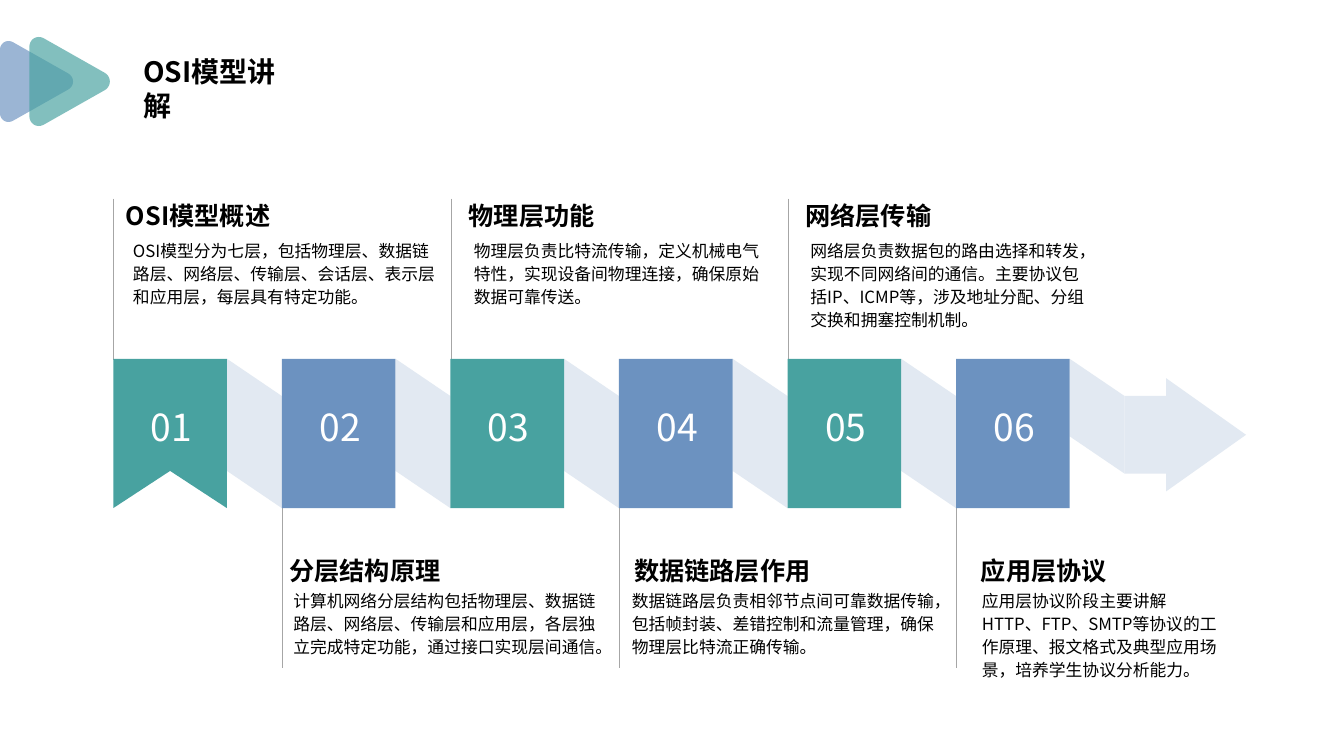
"""Build the OSI model slide: a six-step folded ribbon with a topic for each step."""
from dataclasses import dataclass

from lxml import etree
from pptx import Presentation
from pptx.dml.color import RGBColor
from pptx.enum.shapes import MSO_CONNECTOR, MSO_SHAPE
from pptx.enum.text import MSO_ANCHOR, MSO_AUTO_SIZE, PP_ALIGN
from pptx.oxml.ns import qn
from pptx.util import Pt

STRAIGHT, RECTANGLE = MSO_CONNECTOR.STRAIGHT, MSO_SHAPE.RECTANGLE
TOP, MIDDLE, FIXED = MSO_ANCHOR.TOP, MSO_ANCHOR.MIDDLE, MSO_AUTO_SIZE.NONE
LEFT, CENTER, JUSTIFY = PP_ALIGN.LEFT, PP_ALIGN.CENTER, PP_ALIGN.JUSTIFY


@dataclass(frozen=True)
class Theme:
    font: str = "Noto Sans CJK SC"
    teal: str = "48A2A0"
    blue: str = "6C92C0"
    ribbon: str = "E2E9F2"
    rule: str = "A6A6A6"
    ink: str = "000000"
    white: str = "FFFFFF"
    title: float = 20
    heading: float = 18
    body: float = 12
    number: float = 26.6


theme = Theme()
presentation = Presentation()
presentation.slide_width, presentation.slide_height = Pt(960), Pt(540)
slide = presentation.slides.add_slide(presentation.slide_layouts[5])
shapes = slide.shapes


def write(frame, text, size, color, align, bold=False, spacing=1.0):
    """Fill a text frame with one styled paragraph."""
    frame.word_wrap = True
    frame.auto_size = FIXED
    paragraph = frame.paragraphs[0]
    paragraph.text = text
    paragraph.alignment = align
    paragraph.line_spacing = spacing
    paragraph.font.size = Pt(size)
    paragraph.font.bold = bold
    paragraph.font.color.rgb = RGBColor.from_string(color)
    paragraph.font.name = theme.font
    defaults = paragraph._p.pPr.find(qn("a:defRPr"))
    etree.SubElement(defaults, qn("a:ea"), typeface=theme.font)


def outline(points, color):
    """Draw a closed, filled polygon through points."""
    corners = [(Pt(x), Pt(y)) for x, y in points]
    builder = shapes.build_freeform(*corners[0])
    builder.add_line_segments(corners[1:], close=True)
    polygon = builder.convert_to_shape()
    polygon.shadow.inherit = False
    polygon.fill.solid()
    polygon.fill.fore_color.rgb = RGBColor.from_string(color)
    polygon.line.fill.background()
    return polygon


title = shapes.title
title.left, title.top, title.width, title.height = Pt(95), Pt(35.3), Pt(122.4), Pt(31.7)
title.text_frame.vertical_anchor = TOP
write(title.text_frame, "OSI模型讲解", theme.title, theme.ink, LEFT, bold=True)

triangle_corners = [
    [(9.4, -28), (4.9, -30.5), (0, -27.5), (0, -22.4)],
    [(0, 22.4), (0, 27.5), (4.9, 30.5), (9.4, 28)],
    [(49, 5.6), (53.3, 2.9), (53.3, -2.9), (49, -5.6)],
]
curve_steps = 12
rounded_triangle = []
for corner in triangle_corners:
    for step in range(curve_steps + 1):
        t = step / curve_steps
        weights = ((1 - t) ** 3, 3 * t * (1 - t) ** 2, 3 * t * t * (1 - t), t ** 3)
        rounded_triangle.append([sum(w * p[axis] for w, p in zip(weights, corner))
                                 for axis in (0, 1)])

for offset, scale, color in ((0, 1, theme.blue), (21, 1.1, theme.teal)):
    marker = outline([(offset + scale * x, 58.2 + scale * y) for x, y in rounded_triangle], color)
    fill_color = marker._element.spPr.find(qn("a:solidFill"))[0]
    etree.SubElement(fill_color, qn("a:alpha"), val="68000")

first_left, pitch, tile_width = 80.9, 120.4, 81.2
band_top, band_bottom, fold = 256.3, 363, 26.6
rule_length = 115.5

topics = [
    ("OSI模型概述", 80.6, 95, 217.4,
     "OSI模型分为七层，包括物理层、数据链路层、网络层、传输层、会话层、表示层和应用层，每层具有特定功能。"),
    ("分层结构原理", 197.3, 209.5, 223.2,
     "计算机网络分层结构包括物理层、数据链路层、网络层、传输层和应用层，各层独立完成特定功能，通过接口实现层间通信。"),
    ("物理层功能", 325.4, 338.4, 214.6,
     "物理层负责比特流传输，定义机械电气特性，实现设备间物理连接，确保原始数据可靠传送。"),
    ("数据链路层作用", 443.5, 451.4, 223.2,
     "数据链路层负责相邻节点间可靠数据传输，包括帧封装、差错控制和流量管理，确保物理层比特流正确传输。"),
    ("网络层传输", 565.9, 578.9, 195.8,
     "网络层负责数据包的路由选择和转发，实现不同网络间的通信。主要协议包括IP、ICMP等，涉及地址分配、分组交换和拥塞控制机制。"),
    ("应用层协议", 691.2, 701.3, 174.2,
     "应用层协议阶段主要讲解HTTP、FTP、SMTP等协议的工作原理、报文格式及典型应用场景，培养学生协议分析能力。"),
]

for index, (heading, heading_left, body_left, body_width, body) in enumerate(topics):
    above = index % 2 == 0
    tile_left = first_left + index * pitch
    tile_right, next_left = tile_left + tile_width, tile_left + pitch

    rule_top = band_top - rule_length + 1 if above else band_bottom - 1
    rule = shapes.add_connector(STRAIGHT, Pt(tile_left + 0.4), Pt(rule_top),
                                Pt(tile_left + 0.4), Pt(rule_top + rule_length))
    rule.line.color.rgb = RGBColor.from_string(theme.rule)
    rule.line.width = Pt(0.5)
    etree.SubElement(rule._element.spPr, qn("a:effectLst"))

    ribbon_height = 55.4 if index == len(topics) - 1 else band_bottom - band_top - fold
    outline([(tile_right, band_top), (next_left, band_top + fold),
             (next_left, band_top + fold + ribbon_height),
             (tile_right, band_top + ribbon_height)], theme.ribbon)

    tile_color = theme.teal if above else theme.blue
    if index == 0:
        tile = outline([(tile_left, band_top), (tile_right, band_top), (tile_right, band_bottom),
                        (tile_left + tile_width / 2, band_bottom - fold),
                        (tile_left, band_bottom)], tile_color)
    else:
        tile = shapes.add_shape(RECTANGLE, Pt(tile_left), Pt(band_top),
                                Pt(tile_width), Pt(band_bottom - band_top))
        tile.shadow.inherit = False
        tile.fill.solid()
        tile.fill.fore_color.rgb = RGBColor.from_string(tile_color)
        tile.line.fill.background()
    number_frame = tile.text_frame
    number_frame.vertical_anchor = MIDDLE
    number_frame.margin_left, number_frame.margin_right = Pt(2), Pt(0)
    number_frame.margin_top, number_frame.margin_bottom = Pt(0), Pt(9.5)
    write(number_frame, f"{index + 1:02}", theme.number, theme.white, CENTER)

    heading_top, body_top = (133.9, 170) if above else (387.4, 420)
    heading_frame = shapes.add_textbox(Pt(heading_left), Pt(heading_top),
                                       Pt(184.3), Pt(98)).text_frame
    heading_frame.margin_left = heading_frame.margin_right = Pt(9.4)
    heading_frame.margin_top = heading_frame.margin_bottom = Pt(5)
    write(heading_frame, heading, theme.heading, theme.ink, JUSTIFY, bold=True, spacing=1.2)

    body_frame = shapes.add_textbox(Pt(body_left), Pt(body_top),
                                    Pt(body_width), Pt(78.5)).text_frame
    body_frame.margin_left = body_frame.margin_right = Pt(0)
    body_frame.margin_top = body_frame.margin_bottom = Pt(0)
    write(body_frame, body, theme.body, theme.ink, LEFT, spacing=1.14)

arrow_left, arrow_neck, arrow_tip = first_left + len(topics) * pitch, 833, 890
arrow_middle = 310.6
outline([(arrow_left, arrow_middle - 27.7), (arrow_neck, arrow_middle - 27.7),
         (arrow_neck, arrow_middle - 40.4), (arrow_tip, arrow_middle),
         (arrow_neck, arrow_middle + 40.4), (arrow_neck, arrow_middle + 27.7),
         (arrow_left, arrow_middle + 27.7)], theme.ribbon)

presentation.save("out.pptx")
